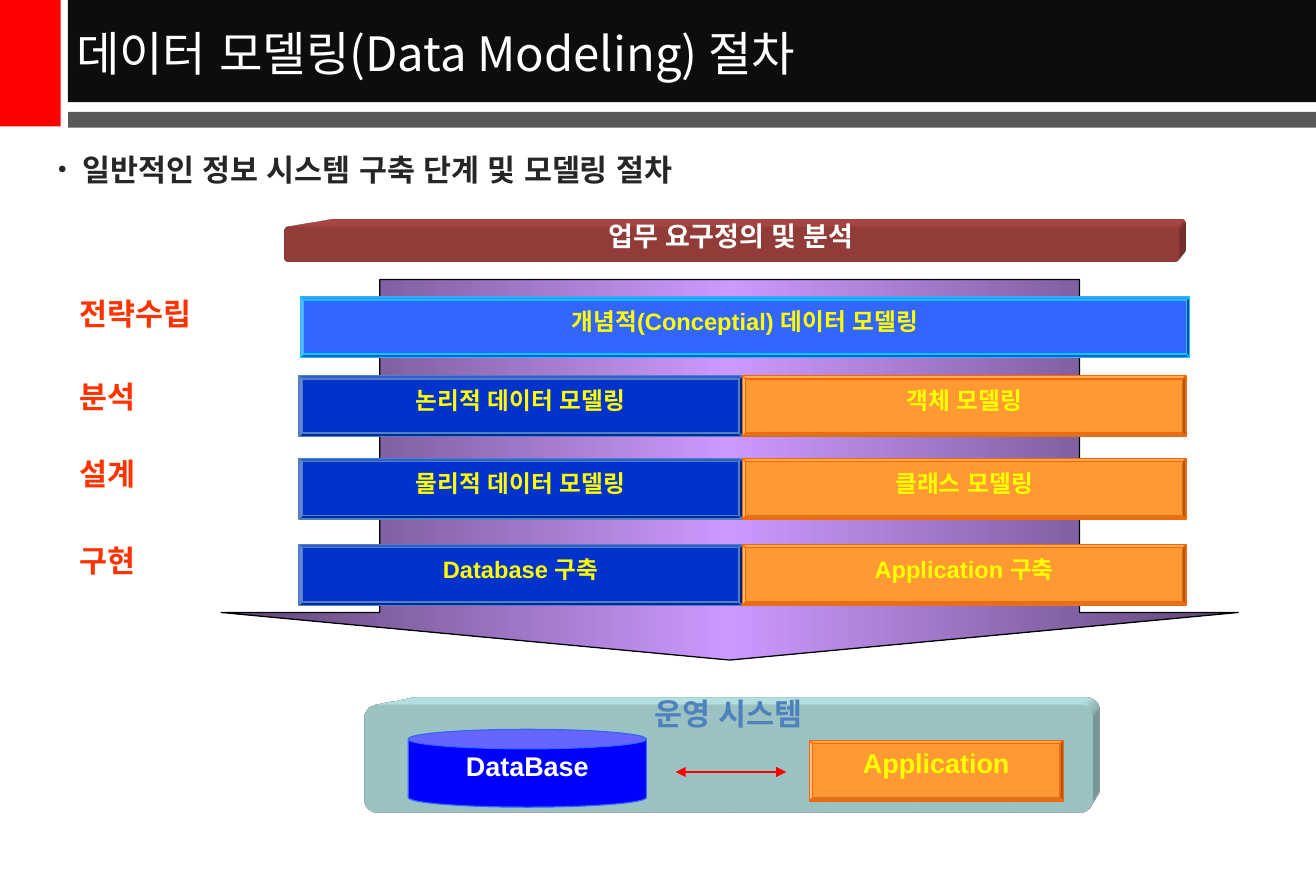
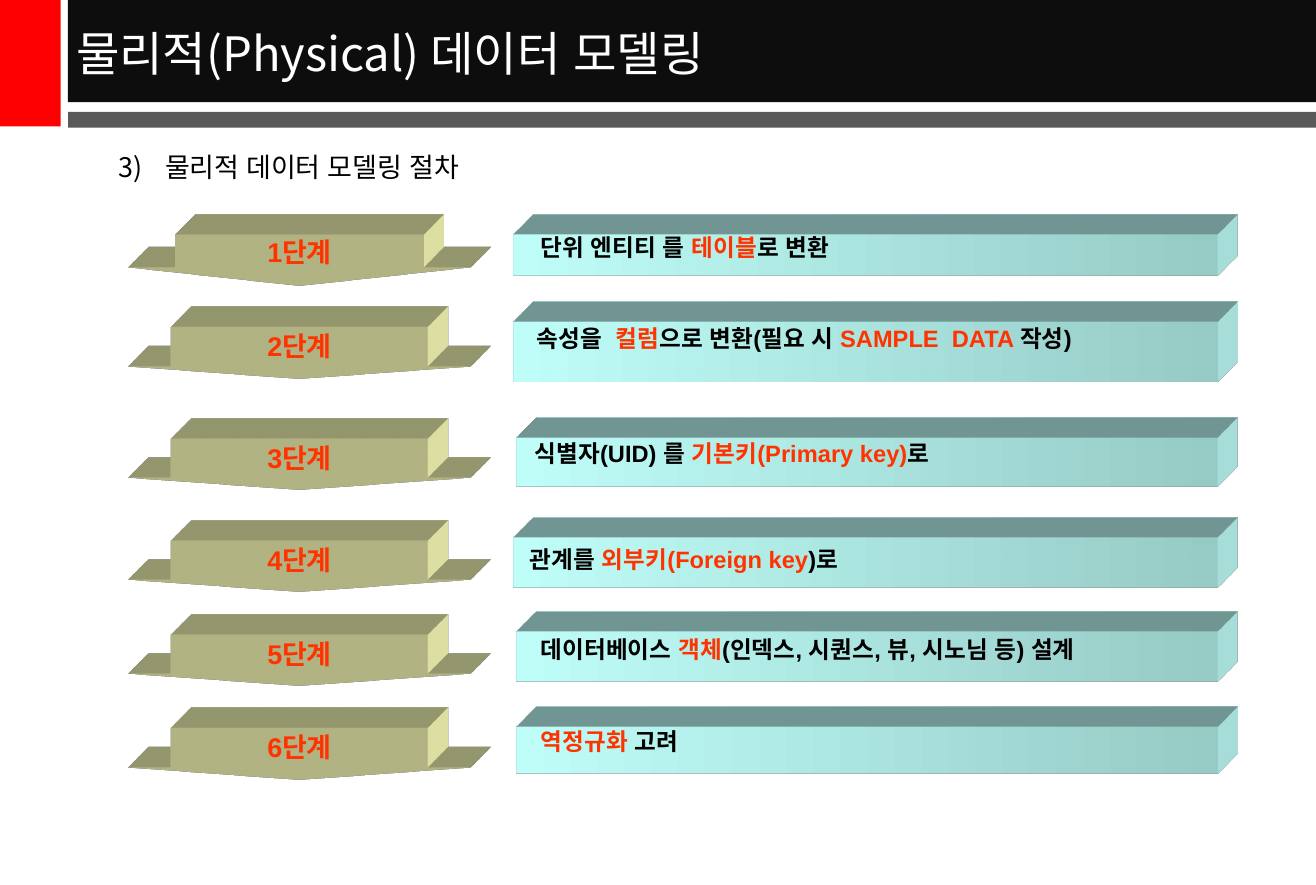
from copy import deepcopy

from lxml import etree
from pptx import Presentation
from pptx.dml.color import RGBColor
from pptx.enum import shapes, text
from pptx.oxml import ns
from pptx.util import Inches, Pt

COLORS = {
    "red": "FF0000", "title_band": "0D0D0D", "rule_band": "595959",
    "white": "FFFFFF", "black": "000000", "body": "262626",
    "label": "FF3300", "yellow": "FFFF00",
    "brick": "C0504D", "pool": "CCFFFF", "pool_text": "4F81BD",
    "arrow_edge": "5E4676", "arrow_middle": "CC99FF",
    "sky": "3366FF", "sky_line": "00CCFF", "navy": "0033CC", "navy_line": "4F81BD",
    "orange": "FF9933", "orange_line": "FF6600", "database": "0000FF",
    "step": "FCFEB9", "bar": "C0FEF9", "bar_end": "97CBC6",
}
BODY_FONT = "Noto Sans CJK KR"
LABEL_FONT = "Arial"
DEPTH = 0.47
SHAPE = shapes.MSO_SHAPE
CENTER = text.PP_ALIGN.CENTER
MIDDLE = text.MSO_ANCHOR.MIDDLE


def color(name):
    """Return the named colour."""
    return RGBColor.from_string(COLORS[name])


def add_child(parent, tag, **attributes):
    """Append a drawing element to a parent."""
    return etree.SubElement(parent, ns.qn("a:" + tag), **attributes)


def paint(shape, fills, line=None):
    """Fill a shape with one colour or an even horizontal gradient."""
    shape.shadow.inherit = False
    if isinstance(fills, str):
        shape.fill.solid()
        shape.fill.fore_color.rgb = color(fills)
    else:
        shape.fill.gradient()
        shape.fill.gradient_angle = 0
        stop_list = shape._element.spPr.find(".//" + ns.qn("a:gsLst"))
        for _ in range(len(fills) - len(stop_list)):
            stop_list.append(deepcopy(stop_list[-1]))
        for index, stop in enumerate(shape.fill.gradient_stops):
            stop.position = index / (len(fills) - 1)
            stop.color.rgb = color(fills[index])
    if line:
        shape.line.color.rgb = color(line)
        shape.line.width = Pt(0.75)
    else:
        shape.line.fill.background()


def add_preset(slide, kind, box, fills, line=None, adjustments=()):
    """Add a painted preset shape."""
    shape = slide.shapes.add_shape(kind, *map(Inches, box))
    for index, value in enumerate(adjustments):
        shape.adjustments[index] = value
    paint(shape, fills, line)
    return shape


def extrude(shape, name, camera, light):
    """Give a shape depth towards the top right."""
    properties = shape._element.spPr
    scene = add_child(properties, "scene3d")
    add_child(scene, "camera", prst=f"legacy{camera}TopRight")
    add_child(scene, "lightRig", rig="legacyFlat3", dir=light)
    solid = add_child(properties, "sp3d", extrusionH=str(Inches(DEPTH)),
                      prstMaterial="legacyMatte")
    for bevel in ("bevelT", "bevelB"):
        add_child(solid, bevel, w="13500", h="13500", prst="angle")
    add_child(add_child(solid, "extrusionClr"), "srgbClr", val=COLORS[name])


def write(shape, content, size, name, font=LABEL_FONT, bold=True, align=None,
          spacing=None, anchor=text.MSO_ANCHOR.TOP, wrap=True):
    """Write a paragraph of a string or of (words, colour) runs."""
    frame = shape.text_frame
    frame.word_wrap = wrap
    frame.vertical_anchor = anchor
    paragraph = frame.paragraphs[0]
    paragraph.alignment = align or text.PP_ALIGN.LEFT
    paragraph.line_spacing = spacing
    paragraph.font.name = font
    paragraph.font.size = Pt(size)
    paragraph.font.bold = bold
    paragraph.font.color.rgb = color(name)
    add_child(paragraph.font._element, "ea", typeface=LABEL_FONT)
    for words, run_color in [(content, name)] if isinstance(content, str) else content:
        run = paragraph.add_run()
        run.text = words
        if run_color != name:
            run.font.color.rgb = color(run_color)
    return paragraph


def add_text(slide, box, content, size, name, **options):
    """Add a text box and return its paragraph."""
    shape = slide.shapes.add_textbox(*map(Inches, box))
    return write(shape, content, size, name, **options)


def add_body(slide, content, size, name, bold, margin, hanging, bullet=False):
    """Add the heading line under the title bands."""
    paragraph = add_text(slide, (0.38, 1.19, 10.07, 0.5), content, size, name,
                         font=BODY_FONT, bold=bold)
    properties = paragraph._p.get_or_add_pPr()
    properties.set("marL", str(Inches(margin)))
    properties.set("indent", str(-Inches(hanging)))
    if bullet:
        for tag, attributes in (("buSzPct", {"val": "80000"}),
                                ("buFont", {"typeface": LABEL_FONT}),
                                ("buChar", {"char": "•"})):
            mark = etree.Element(ns.qn("a:" + tag), **attributes)
            properties.insert(len(properties) - 1, mark)


def add_frame(presentation, title):
    """Add a blank slide with the shared bands and title."""
    slide = presentation.slides.add_slide(presentation.slide_layouts[6])
    for box, fill in (((0, 0, 0.5, 1.04), "red"),
                      ((0.56, 0, 10.27, 0.84), "title_band"),
                      ((0.56, 0.92, 10.28, 0.13), "rule_band")):
        add_preset(slide, SHAPE.RECTANGLE, box, fill)
    add_text(slide, (0.53, 0.02, 10.3, 0.82), title, 28, "white",
             font=BODY_FONT, bold=False, anchor=MIDDLE)
    return slide


def add_slab(slide, box, fill, content, size, text_color):
    """Add a rounded slab receding in perspective."""
    slab = add_preset(slide, SHAPE.ROUNDED_RECTANGLE, box, fill, adjustments=(0.125,))
    extrude(slab, fill, "Perspective", "r")
    write(slab, content, size, text_color, align=CENTER, spacing=Pt(10))


def add_plate(slide, box, content, theme, size=14):
    """Add a bevelled plate with yellow text."""
    plate = add_preset(slide, SHAPE.BEVEL, box, theme, theme + "_line", (0.055,))
    write(plate, content, size, "yellow", align=CENTER, spacing=Pt(10),
          anchor=MIDDLE, wrap=False)


def add_operation(slide, left, top):
    """Add the operating system with its database and application."""
    add_slab(slide, (left, top, 5.99, 0.88), "pool", "운영 시스템", 18, "pool_text")
    database = add_preset(slide, SHAPE.CAN, (left + 0.36, top + 0.2, 1.96, 0.64),
                          "database", "sky", (0.25,))
    write(database, "DataBase", 16, "white", align=CENTER, spacing=Pt(10),
          anchor=MIDDLE, wrap=False)
    link = slide.shapes.add_connector(
        shapes.MSO_CONNECTOR.STRAIGHT, Inches(left + 2.56), Inches(top + 0.55),
        Inches(left + 3.47), Inches(top + 0.55))
    link.line.color.rgb = color("red")
    link.line.width = Pt(0.75)
    line = link.line._get_or_add_ln()
    for end in ("headEnd", "tailEnd"):
        add_child(line, end, type="triangle")
    add_child(link._element.spPr, "effectLst")
    add_plate(slide, (left + 3.66, top + 0.29, 2.09, 0.5), "Application", "orange", 16)


def build_procedure(presentation):
    """Build the slide on the data modelling procedure."""
    slide = add_frame(presentation, "데이터 모델링(Data Modeling) 절차")
    add_body(slide, "일반적인 정보 시스템 구축 단계 및 모델링 절차", 18, "body",
             True, 0.2, 0.2, bullet=True)
    add_slab(slide, (2.34, 1.87, 7.35, 0.28), "brick", "업무 요구정의 및 분석", 16, "white")
    add_preset(slide, SHAPE.DOWN_ARROW, (1.82, 2.3, 8.37, 3.13),
               ("arrow_edge", "arrow_middle", "arrow_edge"), "black", (0.688, 0.125))
    add_operation(slide, 3, 5.8)
    width, height = 3.65, 0.5
    for top, data_step, object_step in (
            (3.09, "논리적 데이터 모델링", "객체 모델링"),
            (3.77, "물리적 데이터 모델링", "클래스 모델링"),
            (4.48, "Database 구축", "Application 구축")):
        add_plate(slide, (2.46, top, width, height), data_step, "navy")
        add_plate(slide, (2.46 + width, top, width, height), object_step, "orange")
    add_plate(slide, (2.47, 2.44, 7.32, height), "개념적(Conceptial) 데이터 모델링", "sky")
    for top, phase in ((2.54, "전략수립"), (3.22, "분석"), (3.86, "설계"), (4.57, "구현")):
        add_text(slide, (0.56, top, 1.9, 0.26), phase, 18, "label", spacing=Pt(10))


def add_step(slide, left, top, content, shaft, head):
    """Add a solid down arrow naming a step."""
    arrow = add_preset(slide, SHAPE.DOWN_ARROW, (left, top, 2.81, 0.42), "step",
                       adjustments=(shaft, head))
    extrude(arrow, "step", "Oblique", "b")
    write(arrow, content, 16, "label", align=CENTER, spacing=0.9,
          anchor=MIDDLE, wrap=False)


def add_bar(slide, left, top, right, height):
    """Add a solid bar with a gradient front."""
    bar = add_preset(slide, SHAPE.RECTANGLE, (left, top, right - left, height),
                     ("bar", "bar_end"))
    extrude(bar, "bar", "Oblique", "b")


def build_steps(presentation):
    """Build the slide on the physical modelling steps."""
    slide = add_frame(presentation, "물리적(Physical) 데이터 모델링")
    add_body(slide, "3)\t물리적 데이터 모델링 절차", 16, "black", False, 0.88, 0.38)
    black, red = "black", "label"
    steps = (
        (1.93, 4.23, 1.93, 0.34, 4.35, 1.89,
         [("단위 엔티티 를 ", black), ("테이블", red), ("로 변환", black)]),
        (2.69, 4.23, 2.65, 0.49, 4.32, 2.72,
         [("속성을  ", black), ("컬럼", red), ("으로 변환(필요 시 ", black),
          ("SAMPLE  DATA ", red), ("작성)", black)]),
        (3.61, 4.25, 3.6, 0.4, 4.3, 3.59,
         [("식별자(UID) 를 ", black), ("기본키(Primary key)", red), ("로", black)]),
        (4.45, 4.23, 4.42, 0.41, 4.26, 4.46,
         [("관계를 ", black), ("외부키(Foreign key", red), (")로", black)]),
        (5.22, 4.25, 5.2, 0.41, 4.35, 5.2,
         [("데이터베이스 ", black), ("객체", red),
          ("(인덱스, 시퀀스, 뷰, 시노님 등) 설계", black)]),
        (5.99, 4.25, 5.98, 0.38, 4.35, 5.96, [("역정규화", red), (" 고려", black)]),
    )
    for number, (arrow_top, left, top, height, text_left, text_top, runs) in enumerate(steps, 1):
        add_bar(slide, left, top, 10.02, height)
        add_text(slide, (text_left, text_top, 5.49, 0.31), runs, 14, "black",
                 spacing=0.5 if number == 2 else 0.9)
        shaft, head = (0.726, 0.361) if number == 1 else (0.75, 0.241)
        add_step(slide, 1.06, arrow_top, f"{number}단계", shaft, head)


def main():
    """Build and save the presentation."""
    presentation = Presentation()
    presentation.slide_width = Inches(10.83)
    presentation.slide_height = Inches(7.28)
    build_procedure(presentation)
    build_steps(presentation)
    presentation.save("out.pptx")


if __name__ == "__main__":
    main()
